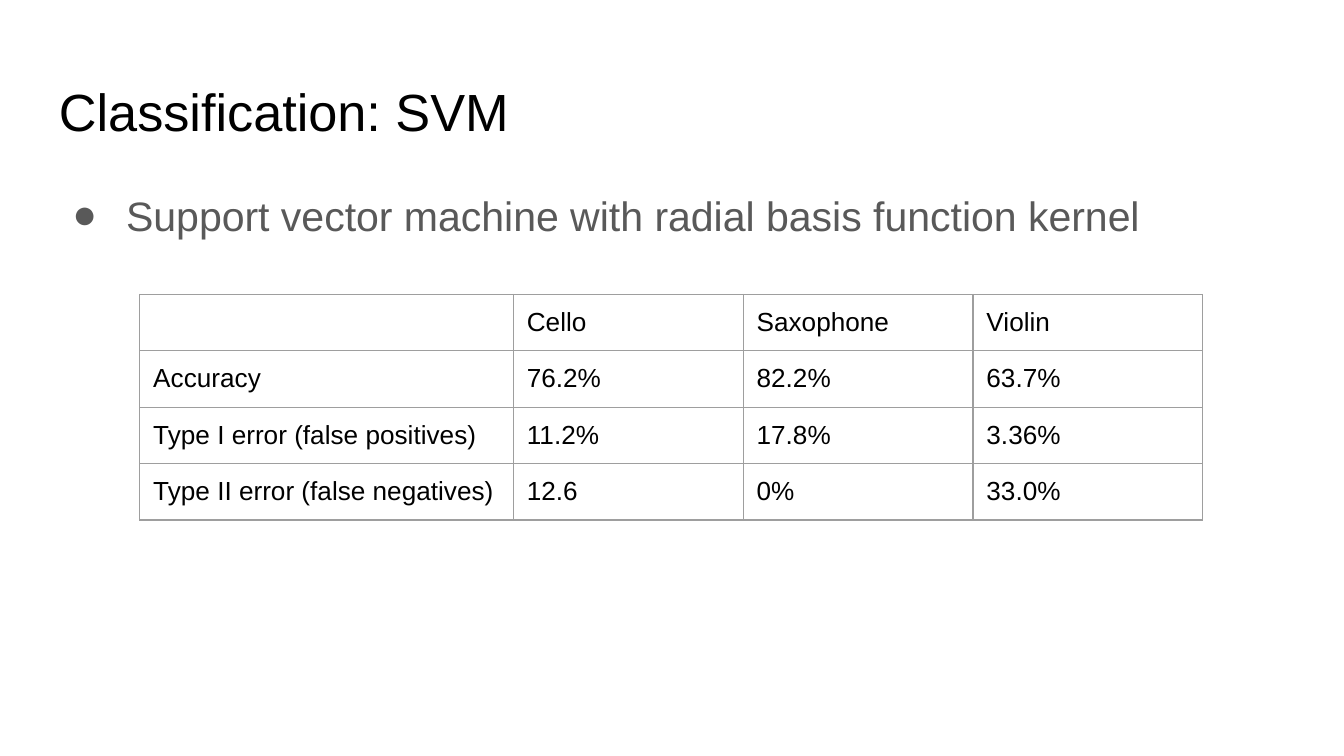
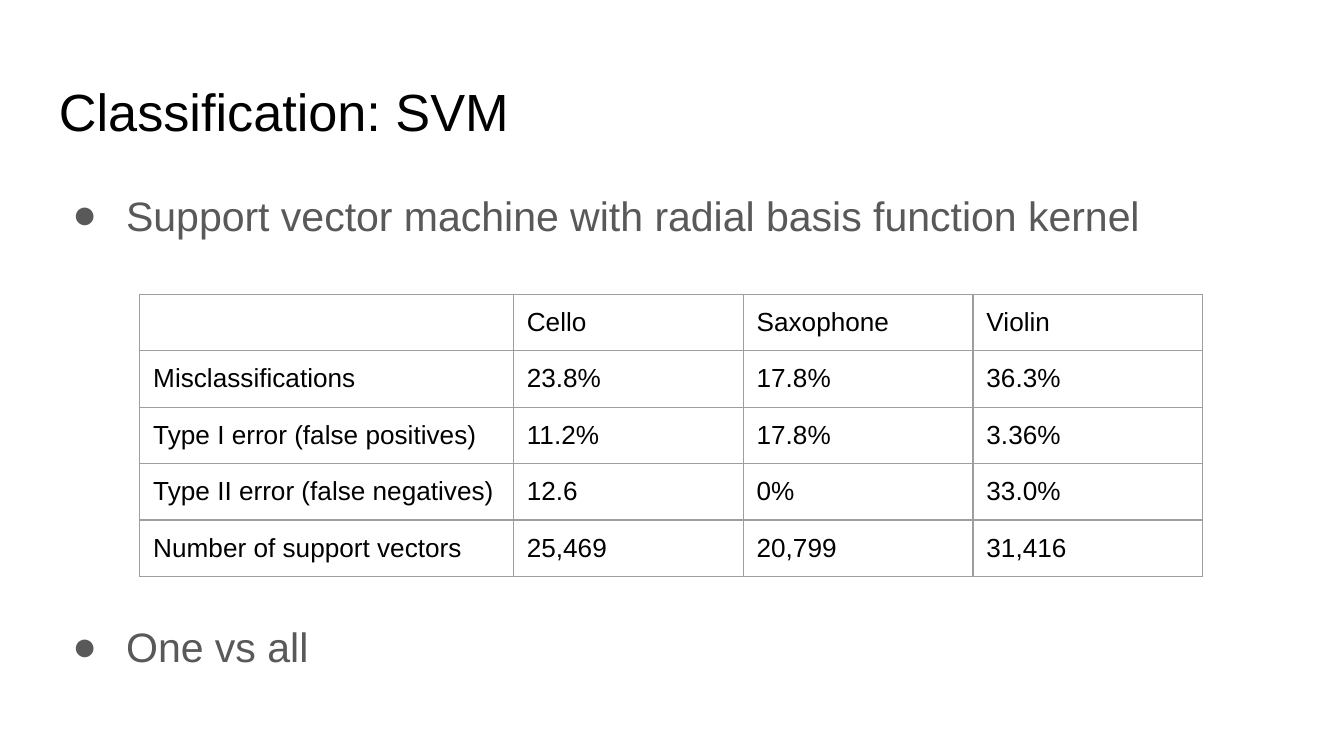
"""Builds two slides that tabulate SVM classification results."""
import dataclasses

import pptx
import pptx.dml.color
import pptx.enum.text
import pptx.oxml.ns
import pptx.util
from lxml import etree

Inches = pptx.util.Inches
Pt = pptx.util.Pt


@dataclasses.dataclass(frozen=True)
class Theme:
    font: str = "Arial"
    background: str = "FFFFFF"
    ink: str = "000000"
    body: str = "595959"
    border: str = "9E9E9E"
    title_size: float = 28
    body_size: float = 22
    cell_size: float = 14
    border_width: float = 0.75
    inset: float = 0.1
    cell_bottom: float = 0.08
    left: float = 0.34
    width: float = 9.32


THEME = Theme()
SLIDE_WIDTH = 10
TITLE = "Classification: SVM"
KERNEL = "Support vector machine with radial basis function kernel"
HEADER = ["", "Cello", "Saxophone", "Violin"]
ERROR_ROWS = [
    ["Type I error (false positives)", "11.2%", "17.8%", "3.36%"],
    ["Type II error (false negatives)", "12.6", "0%", "33.0%"],
]
ACCURACY = ["Accuracy", "76.2%", "82.2%", "63.7%"]
MISCLASSIFICATIONS = ["Misclassifications", "23.8%", "17.8%", "36.3%"]
SUPPORT_VECTORS = ["Number of support vectors", "25,469", "20,799", "31,416"]


def rgb(color):
    return pptx.dml.color.RGBColor.from_string(color)


def add_child(parent, tag, **attributes):
    return etree.SubElement(parent, pptx.oxml.ns.qn(tag), **attributes)


def style(p, size, color):
    p.font.name = THEME.font
    p.font.size = Pt(size)
    p.font.color.rgb = rgb(color)


def set_insets(target, bottom=THEME.inset):
    for side in ("left", "top", "right"):
        setattr(target, f"margin_{side}", Inches(THEME.inset))
    target.margin_bottom = Inches(bottom)


def add_text_frame(slide, top, height):
    sp = slide.shapes.add_textbox(
        Inches(THEME.left), Inches(top), Inches(THEME.width), Inches(height))
    tf = sp.text_frame
    tf.word_wrap = True
    tf.vertical_anchor = pptx.enum.text.MSO_ANCHOR.TOP
    set_insets(tf)
    return tf


def add_title(slide, text):
    p = add_text_frame(slide, 0.49, 0.63).paragraphs[0]
    p.text = text
    style(p, THEME.title_size, THEME.ink)


def set_bullet(p):
    pPr = p._p.get_or_add_pPr()
    pPr.set("marL", str(Inches(0.5)))
    pPr.set("indent", str(Inches(-0.4)))
    color = add_child(pPr, "a:buClr")
    add_child(color, "a:srgbClr", val=THEME.body)
    add_child(pPr, "a:buFont", typeface=THEME.font)
    add_child(pPr, "a:buChar", char="●")


def add_bullets(slide, height, bullets):
    tf = add_text_frame(slide, 1.26, height)
    for i, (text, space_before) in enumerate(bullets):
        p = tf.add_paragraph() if i else tf.paragraphs[0]
        p.text = text
        set_bullet(p)
        p.line_spacing = 1.15
        p.space_before = Pt(space_before)
        style(p, THEME.body_size, THEME.body)


def set_borders(cell):
    tcPr = cell._tc.get_or_add_tcPr()
    for tag in ("a:lnL", "a:lnR", "a:lnT", "a:lnB"):
        line = add_child(tcPr, tag, w=str(Pt(THEME.border_width)))
        fill = add_child(line, "a:solidFill")
        add_child(fill, "a:srgbClr", val=THEME.border)


def fill_cell(cell, text):
    set_borders(cell)
    cell.fill.background()
    p = cell.text_frame.paragraphs[0]
    style(p, THEME.cell_size, THEME.ink)
    if text:
        p.text = text
        set_insets(cell, THEME.cell_bottom)


def add_results_table(slide, rows):
    widths = [2.78, 1.71, 1.71, 1.71]
    row_height = 0.42
    table = slide.shapes.add_table(
        len(rows), len(widths), Inches(1.04), Inches(2.19),
        Inches(sum(widths)), Inches(row_height * len(rows))).table
    table.first_row = False
    table.horz_banding = False
    for column, width in zip(table.columns, widths):
        column.width = Inches(width)
    for row, texts in zip(table.rows, rows):
        row.height = Inches(row_height)
        for cell, text in zip(row.cells, texts):
            fill_cell(cell, text)


def add_results_slide(prs, body_height, bullets, rows):
    slide = prs.slides.add_slide(prs.slide_layouts[6])
    slide.background.fill.solid()
    slide.background.fill.fore_color.rgb = rgb(THEME.background)
    add_title(slide, TITLE)
    add_bullets(slide, body_height, bullets)
    add_results_table(slide, [HEADER, *rows])


def main():
    prs = pptx.Presentation()
    prs.slide_width = Inches(SLIDE_WIDTH)
    prs.slide_height = Inches(SLIDE_WIDTH * 9 / 16)
    add_results_slide(prs, 3.74, [(KERNEL, 0)], [ACCURACY, *ERROR_ROWS])
    add_results_slide(prs, 3.97, [(KERNEL, 0), ("One vs all", 201)],
                      [MISCLASSIFICATIONS, *ERROR_ROWS, SUPPORT_VECTORS])
    prs.save("out.pptx")


if __name__ == "__main__":
    main()
